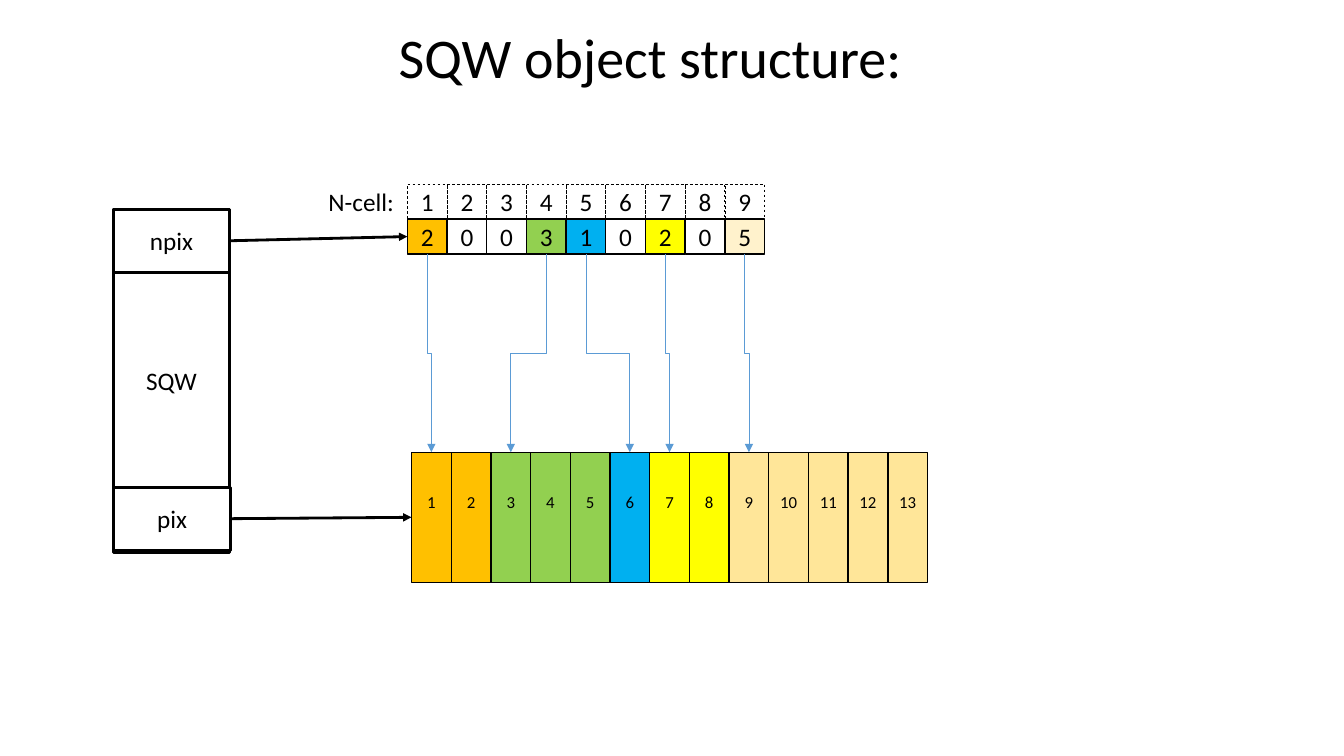
from lxml import etree
from pptx import Presentation
from pptx.dml.color import RGBColor
from pptx.enum.dml import MSO_LINE
from pptx.enum.shapes import MSO_CONNECTOR, MSO_SHAPE
from pptx.enum.text import MSO_ANCHOR, PP_ALIGN
from pptx.oxml.ns import qn
from pptx.util import Pt

RECT = MSO_SHAPE.RECTANGLE
STRAIGHT, ELBOW = MSO_CONNECTOR.STRAIGHT, MSO_CONNECTOR.ELBOW
LEFT, CENTER = PP_ALIGN.LEFT, PP_ALIGN.CENTER
TOP, MIDDLE, BOTTOM = MSO_ANCHOR.TOP, MSO_ANCHOR.MIDDLE, MSO_ANCHOR.BOTTOM
DASH = MSO_LINE.DASH
LEFT_SITE, RIGHT_SITE = 1, 3

FONT = "Calibri"
BLACK, WHITE, BLUE = "000000", "FFFFFF", "5B9BD5"
PITCH = 28.35
CELL_LEFT, HEADER_TOP, NPIX_TOP, CELL_H = 291, 131.5, 156.5, 25
PIX_LEFT, PIX_TOP, PIX_H = 294, 323, 93
CELLS = [
    (2, "FFC000", "FFC000"),
    (0, None, None),
    (0, None, None),
    (3, "92D050", "92D050"),
    (1, "00B0F0", "00B0F0"),
    (0, None, None),
    (2, "FFFF00", "FFFF00"),
    (0, None, None),
    (5, "FFF2CC", "FFE699"),
]


def rgb(value):
    """Turn a hex string into a colour."""
    return RGBColor.from_string(value)


def write(shape, text, size, align=CENTER, anchor=MIDDLE):
    """Put one formatted paragraph into a shape."""
    tf = shape.text_frame
    tf.text = text
    tf.vertical_anchor = anchor
    p = tf.paragraphs[0]
    p.alignment = align
    font = p.runs[0].font
    font.name, font.size, font.color.rgb = FONT, Pt(size), rgb(BLACK)
    return tf


def add_label(s, x, y, w, h, text, size, align=LEFT, anchor=TOP, wrap=False):
    """Add a text box."""
    tb = s.shapes.add_textbox(Pt(x), Pt(y), Pt(w), Pt(h))
    tf = write(tb, text, size, align, anchor)
    tf.word_wrap = wrap
    return tf


def add_box(shapes, x, y, w, h, text, size=18, fill=None, weight=1.0, dash=None):
    """Add an outlined rectangle with centred text."""
    sp = shapes.add_shape(RECT, Pt(x), Pt(y), Pt(w), Pt(h))
    sp.shadow.inherit = False
    if fill:
        sp.fill.solid()
        sp.fill.fore_color.rgb = rgb(fill)
    else:
        sp.fill.background()
    sp.line.color.rgb, sp.line.width = rgb(BLACK), Pt(weight)
    if dash:
        sp.line.dash_style = dash
    tf = write(sp, text, size)
    tf.margin_left = tf.margin_right = 0
    return sp


def add_row(s, x, y, h, texts, fills, **style):
    """Add a group of equal boxes side by side."""
    shapes = s.shapes.add_group_shape().shapes
    return [add_box(shapes, x + i * PITCH, y, PITCH, h, text, fill=fill, **style)
            for i, (text, fill) in enumerate(zip(texts, fills))]


def add_arrow(s, kind, x1, y1, x2, y2, color, weight):
    """Add a connector with an arrowhead at its end."""
    c = s.shapes.add_connector(kind, Pt(x1), Pt(y1), Pt(x2), Pt(y2))
    c.line.color.rgb, c.line.width = rgb(color), Pt(weight)
    etree.SubElement(c.line._get_or_add_ln(), qn("a:tailEnd"), type="triangle")
    etree.SubElement(c._element.spPr, qn("a:effectLst"))
    return c


def add_link(s, source, target):
    """Join the right side of one box to the left side of another."""
    c = add_arrow(s, STRAIGHT, 0, 0, 0, 0, BLACK, 2)
    c.begin_connect(source, RIGHT_SITE)
    c.end_connect(target, LEFT_SITE)


def add_drop(s, x1, y1, x2, y2):
    """Add an elbow arrow that runs down, across and down again."""
    cx, cy = (x1 + x2) / 2, (y1 + y2) / 2
    half_w, half_h = (x2 - x1) / 2, (y2 - y1) / 2
    c = add_arrow(s, ELBOW, cx - half_h, cy + half_w, cx + half_h, cy - half_w, BLUE, 0.5)
    c._element.spPr.find(qn("a:xfrm")).set("rot", "5400000")


def main():
    """Build the slide and save it."""
    prs = Presentation()
    prs.slide_width, prs.slide_height = Pt(960), Pt(540)
    s = prs.slides.add_slide(prs.slide_layouts[6])

    title = add_label(s, 104.4, 32.4, 720, 36, "SQW object structure:", 40, CENTER, BOTTOM, True)
    title.paragraphs[0].line_spacing = 0.9

    add_box(s.shapes, 81, 149.5, 83, 245, "SQW", fill=WHITE, weight=2)
    npix = add_box(s.shapes, 81, 149.5, 83, 45, "npix", fill=WHITE, weight=2)
    pix = add_box(s.shapes, 81.5, 348, 83, 45, "pix", fill=WHITE, weight=2)

    counts = [str(count) for count, _, _ in CELLS]
    npix_row = add_row(s, CELL_LEFT, NPIX_TOP, CELL_H, counts, [fill for _, fill, _ in CELLS])
    numbers = [str(i + 1) for i in range(len(CELLS))]
    add_row(s, CELL_LEFT, HEADER_TOP, CELL_H, numbers, [None] * len(CELLS), weight=0.5, dash=DASH)
    add_label(s, 227.5, 129.6, 62, 29, "N-cell:", 18)

    pix_fills = [fill for count, _, fill in CELLS for _ in range(count)]
    pix_numbers = [str(i + 1) for i in range(len(pix_fills))]
    pix_row = add_row(s, PIX_LEFT, PIX_TOP, PIX_H, pix_numbers, pix_fills, size=12)
    for box in pix_row:
        box.text_frame.margin_bottom = Pt(25.6)

    add_link(s, npix, npix_row[0])
    add_link(s, pix, pix_row[0])

    first = 0
    for i, (count, _, _) in enumerate(CELLS):
        if count:
            add_drop(s, CELL_LEFT + (i + 0.5) * PITCH, NPIX_TOP + CELL_H,
                     PIX_LEFT + (first + 0.5) * PITCH, PIX_TOP)
        first += count

    prs.save("out.pptx")


main()
